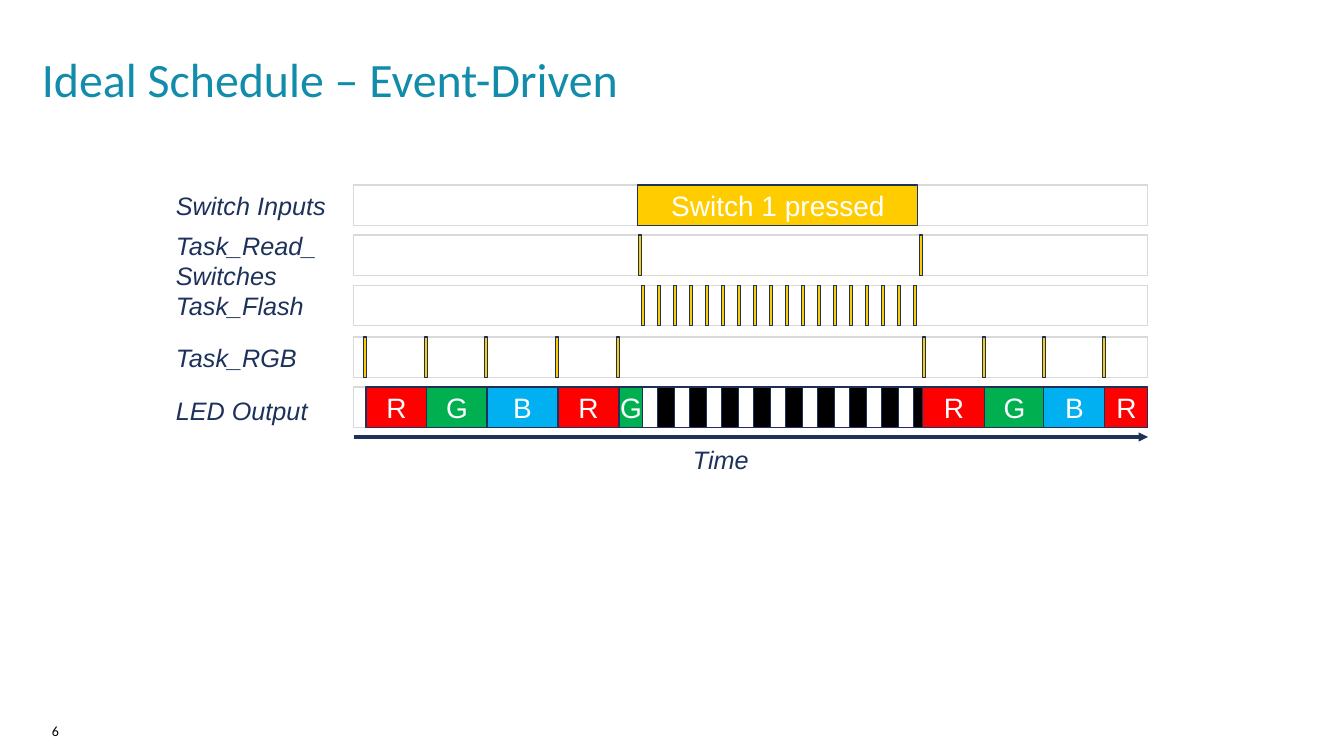
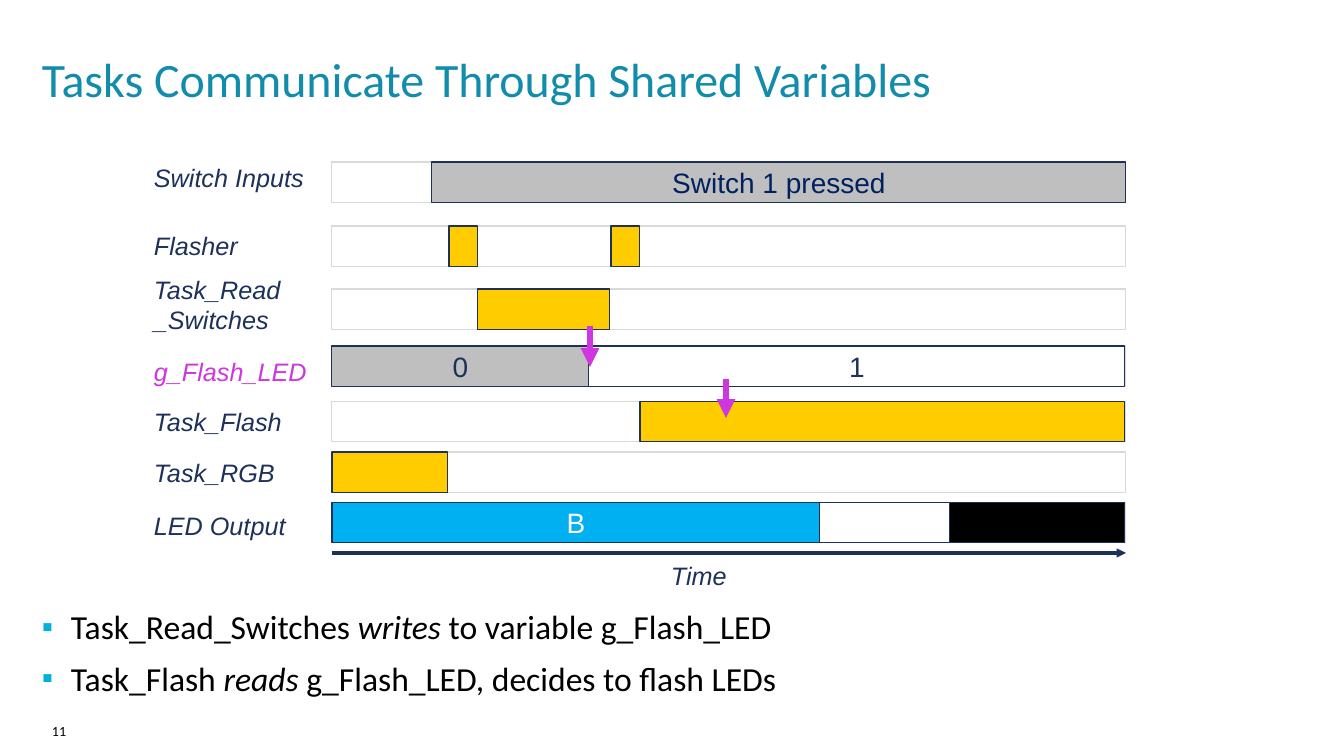
"""Build two slides of task timing diagrams."""
import lxml.etree
import pptx
import pptx.dml.color
import pptx.enum.shapes
import pptx.enum.text
import pptx.oxml.ns
import pptx.util

EMU_PER_PX = 914400 / 100.8
LANE_WIDTH = 794
LANE_HEIGHT = 41
LABEL_OFFSET = 188
TICK_WIDTH = 3

NAVY, DEEP_BLUE, MAGENTA = "1D315B", "002060", "CE37DF"
WHITE, BLACK, LANE_GREY, VALUE_GREY = "FFFFFF", "000000", "D9D9D9", "BFBFBF"
YELLOW, RED, GREEN, BLUE = "FFCC00", "FF0000", "00B050", "00B0F0"
TEAL, BULLET_CYAN = "128CAB", "00B1DB"

TITLE = {"name": "Calibri", "size": pptx.util.Pt(34.2)}
BODY = {"name": "Calibri", "size": pptx.util.Pt(24)}
NUMBER = {"name": "Calibri", "size": pptx.util.Pt(10)}
LABEL = {"name": "Arial", "size": pptx.util.Pt(18), "italic": True}
BLOCK = {"name": "Arial", "size": pptx.util.Pt(20)}

NO_INSET = {"margin_left": 0, "margin_top": 0, "margin_right": 0, "margin_bottom": 0}
CENTRED = {"word_wrap": False, "vertical_anchor": pptx.enum.text.MSO_ANCHOR.MIDDLE}


def px(length):
    """Turn pixels into EMU."""
    return pptx.util.Emu(round(length * EMU_PER_PX))


def rgb(value):
    """Turn a hex string into a colour."""
    return pptx.dml.color.RGBColor.from_string(value)


def apply(target, values):
    """Set each attribute of the target from a dict."""
    for name, value in values.items():
        setattr(target, name, value)


def style(font, values, colour):
    """Give a font its format values and colour."""
    apply(font, values)
    font.color.rgb = rgb(colour)


def add_xml(parent, tag, **attributes):
    """Append a DrawingML element to the parent."""
    return lxml.etree.SubElement(parent, pptx.oxml.ns.qn(tag), attributes)


def add_text(slide, box, text, values, colour, frame_values=None):
    """Place one paragraph of text in a box."""
    frame = slide.shapes.add_textbox(*map(px, box)).text_frame
    apply(frame, {"word_wrap": True, **(frame_values or {})})
    frame.text = text
    for run in frame.paragraphs[0].runs:
        style(run.font, values, colour)


def add_bar(slide, box, outline, fill=None, text="", colour=WHITE):
    """Place a thinly outlined bar, with centred text if it has any."""
    bar = slide.shapes.add_shape(pptx.enum.shapes.MSO_SHAPE.RECTANGLE, *map(px, box))
    bar.shadow.inherit = False
    bar.line.color.rgb = rgb(outline)
    bar.line.width = pptx.util.Pt(0.75)
    if fill:
        bar.fill.solid()
        bar.fill.fore_color.rgb = rgb(fill)
    else:
        bar.fill.background()
    if text:
        apply(bar.text_frame, CENTRED)
        paragraph = bar.text_frame.paragraphs[0]
        paragraph.alignment = pptx.enum.text.PP_ALIGN.CENTER
        run = paragraph.add_run()
        run.text = text
        style(run.font, BLOCK, colour)


def add_arrow(slide, start, end, colour, width):
    """Draw a straight arrow between two points."""
    arrow = slide.shapes.add_connector(
        pptx.enum.shapes.MSO_CONNECTOR.STRAIGHT, *map(px, start + end))
    arrow.line.color.rgb = rgb(colour)
    arrow.line.width = pptx.util.Pt(width)
    properties = arrow.element.spPr
    add_xml(properties.find(pptx.oxml.ns.qn("a:ln")), "a:tailEnd", type="triangle")
    add_xml(properties, "a:effectLst")


def add_frame(deck, title, number):
    """Start a blank slide with its title and page number."""
    slide = deck.slides.add_slide(deck.slide_layouts[6])
    add_text(slide, (42, 50, 1278, 47), title, TITLE, TEAL, NO_INSET)
    add_text(slide, (52, 723, 144, 26), number, NUMBER, BLACK, NO_INSET)
    return slide


def add_timeline(slide, left, top, rows, axis):
    """Draw labelled lanes with their blocks above a time axis."""
    for label, label_y, colour, lane_y, blocks in rows:
        lines = label.count("\v") + 1
        add_text(slide, (left - LABEL_OFFSET, top + label_y, LABEL_OFFSET, 9 + 31 * lines),
                 label, LABEL, colour)
        add_bar(slide, (left, top + lane_y, LANE_WIDTH, LANE_HEIGHT), LANE_GREY)
        for x, width, *look in blocks:
            add_bar(slide, (left + x, top + lane_y, width, LANE_HEIGHT), NAVY, *look)
    add_arrow(slide, (left, top + axis), (left + LANE_WIDTH, top + axis), NAVY, 2.25)
    add_text(slide, (left + 329, top + axis + 2, 90, 40), "Time", LABEL, NAVY)


def ticks(positions):
    """List the short task runs that start at the positions."""
    return [(x, TICK_WIDTH, YELLOW) for x in positions]


def colour_cycle(edges, letters):
    """List the lit LED colours between successive edges."""
    fills = {"R": RED, "G": GREEN, "B": BLUE}
    return [(start, end - start, fills[letter], letter)
            for start, end, letter in zip(edges, edges[1:], letters)]


def add_bullets(slide, box, items):
    """Place a bulleted list whose second part of each item is italic."""
    frame = slide.shapes.add_textbox(*map(px, box)).text_frame
    apply(frame, {"word_wrap": True, **NO_INSET})
    for index, parts in enumerate(items):
        paragraph = frame.add_paragraph() if index else frame.paragraphs[0]
        paragraph.space_after = pptx.util.Pt(8)
        properties = paragraph._p.get_or_add_pPr()
        properties.set("marL", str(px(29)))
        properties.set("indent", str(px(-29)))
        add_xml(add_xml(properties, "a:buClr"), "a:srgbClr", val=BULLET_CYAN)
        add_xml(properties, "a:buSzPct", val="95000")
        add_xml(properties, "a:buFont", typeface="Arial")
        add_xml(properties, "a:buChar", char="▪")
        for position, part in enumerate(parts):
            run = paragraph.add_run()
            run.text = part
            style(run.font, {**BODY, "italic": position == 1}, BLACK)


def add_schedule_slide(deck):
    """Build the event-driven schedule slide."""
    slide = add_frame(deck, "Ideal Schedule – Event-Driven", "6")
    flashes = [(289, 280, BLACK)] + [(289 + 32 * i, 15, WHITE) for i in range(9)]
    led = (colour_cycle((12, 73, 133, 204, 265, 289), "RGBRG") + flashes
           + colour_cycle((569, 631, 690, 751, 794), "RGBR"))
    rows = [
        ("Switch Inputs", 0, NAVY, 0, [(284, 280, YELLOW, "Switch 1 pressed")]),
        ("Task_Read_\vSwitches", 40, NAVY, 50, ticks((285, 566))),
        ("Task_Flash", 100, NAVY, 100, ticks(range(288, 576, 16))),
        ("Task_RGB", 152, NAVY, 152, ticks((10, 71, 131, 202, 263, 569, 629, 689, 749))),
        ("LED Output", 205, NAVY, 202, led),
    ]
    add_timeline(slide, 354, 185, rows, 252)


def add_variables_slide(deck):
    """Build the shared variables slide."""
    slide = add_frame(deck, "Tasks Communicate Through Shared Variables", "11")
    left, top = 332, 162
    rows = [
        ("Switch Inputs", -5, NAVY, 0,
         [(100, 694, VALUE_GREY, "Switch 1 pressed", DEEP_BLUE)]),
        ("Flasher", 63, NAVY, 64, [(117, 29, YELLOW), (279, 29, YELLOW)]),
        ("Task_Read\v_Switches", 107, NAVY, 127, [(146, 132, YELLOW)]),
        ("g_Flash_LED", 189, MAGENTA, 184,
         [(0, 257, VALUE_GREY, "0", NAVY), (257, 536, WHITE, "1", NAVY)]),
        ("Task_Flash", 239, NAVY, 239, [(308, 485, YELLOW)]),
        ("Task_RGB", 290, NAVY, 290, [(0, 116, YELLOW)]),
        ("LED Output", 343, NAVY, 340,
         [(0, 488, BLUE, "B"), (488, 130, WHITE), (618, 175, BLACK)]),
    ]
    add_timeline(slide, left, top, rows, 391)
    for x, start, end in ((258, 164, 205), (394, 217, 256)):
        add_arrow(slide, (left + x, top + start), (left + x, top + end), MAGENTA, 4.5)
    add_bullets(slide, (42, 606, 1270, 114), [
        ("Task_Read_Switches ", "writes", " to variable g_Flash_LED"),
        ("Task_Flash ", "reads ", "g_Flash_LED, decides to flash LEDs"),
    ])


def main():
    """Build and save the deck."""
    deck = pptx.Presentation()
    apply(deck, {"slide_width": px(1344), "slide_height": px(756)})
    add_schedule_slide(deck)
    add_variables_slide(deck)
    deck.save("out.pptx")


if __name__ == "__main__":
    main()
